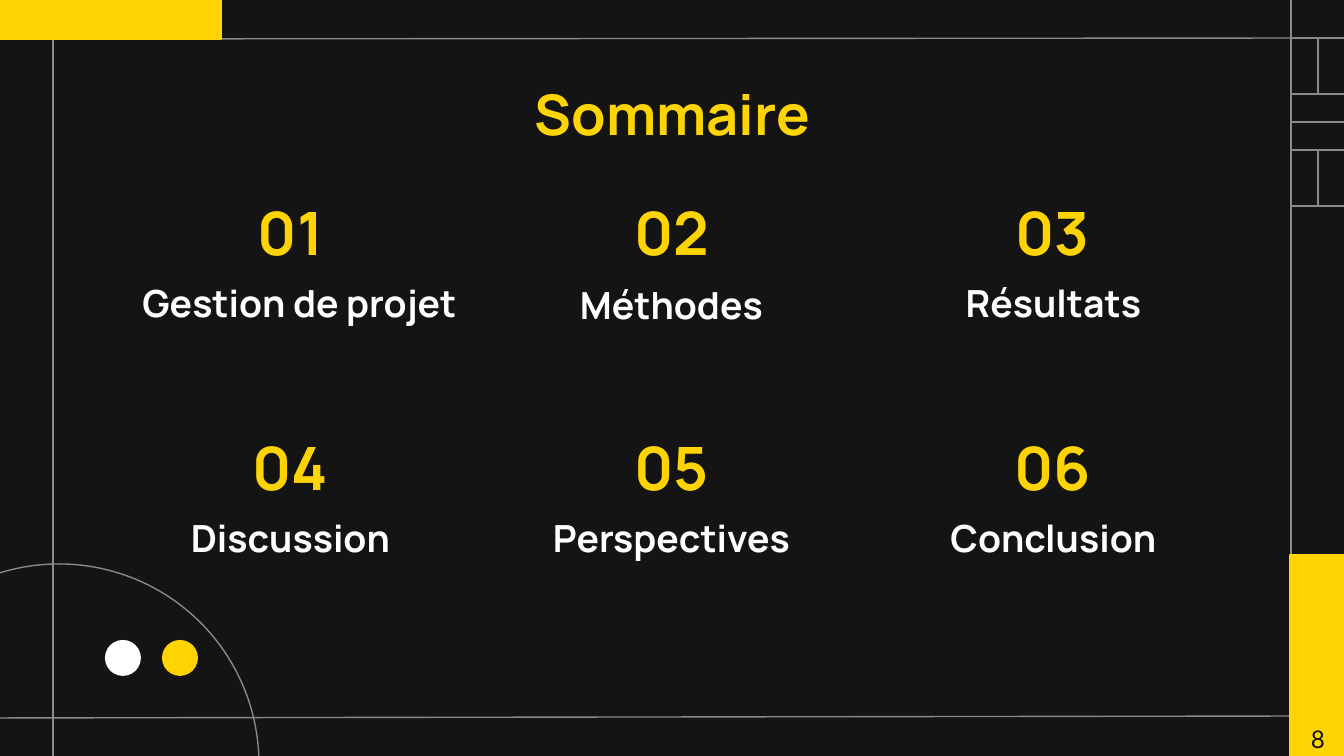
from lxml import etree
from pptx import Presentation
from pptx import util as u
from pptx.dml.color import RGBColor
from pptx.enum import shapes, text
from pptx.oxml import ns

SCALE = 914400 / 134.4
DARK, YELLOW, WHITE, GREY = "141414", "FFD400", "FFFFFF", "8A8A8A"
TOP, MIDDLE, BOTTOM = text.MSO_ANCHOR.TOP, text.MSO_ANCHOR.MIDDLE, text.MSO_ANCHOR.BOTTOM
RECTANGLE, OVAL = shapes.MSO_SHAPE.RECTANGLE, shapes.MSO_SHAPE.OVAL


def px(*lengths):
    return [u.Emu(round(length * SCALE)) for length in lengths]


def write(shape, content, size, color, font="Manrope", bold=True, anchor=MIDDLE):
    frame = shape.text_frame
    frame.text = content
    frame.word_wrap = True
    frame.auto_size = text.MSO_AUTO_SIZE.NONE
    frame.vertical_anchor = anchor
    frame.margin_left = frame.margin_right = frame.margin_top = frame.margin_bottom = u.Inches(0.1)
    paragraph = frame.paragraphs[0]
    paragraph.alignment = text.PP_ALIGN.CENTER
    paragraph.font.name = font
    paragraph.font.size = u.Pt(size)
    paragraph.font.bold = bold
    paragraph.font.color.rgb = RGBColor.from_string(color)


presentation = Presentation()
presentation.slide_width, presentation.slide_height = px(1344, 756)
slide = presentation.slides.add_slide(presentation.slide_layouts[5])
slide.background.fill.solid()
slide.background.fill.fore_color.rgb = RGBColor.from_string(DARK)

frame_lines = [(-4, 39, 1348, 38), (-4, 718, 1348, 716), (53, -1, 53, 761), (1291, -1, 1291, 761)]
tile_lines = [(1318, 38, 1318, 94), (1291, 122, 1347, 122), (1318, 150, 1318, 206)]
for ends in frame_lines + tile_lines:
    line = slide.shapes.add_connector(shapes.MSO_CONNECTOR.STRAIGHT, *px(*ends))
    line.line.color.rgb = RGBColor.from_string(GREY)
    line.line.width = u.Pt(0.75)
    etree.SubElement(line._element.spPr, ns.qn("a:effectLst"))

tiles = [(RECTANGLE, 1291, 38 + 56 * row, 56, 56, None, GREY) for row in range(3)]
blocks = [
    (RECTANGLE, 1290, 555, 54, 206, YELLOW, YELLOW),
    (RECTANGLE, 0, -1, 221, 40, YELLOW, YELLOW),
    (OVAL, -141, 564, 400, 400, None, GREY),
    (OVAL, 162, 640, 36, 36, YELLOW, None),
    (OVAL, 105, 640, 36, 36, WHITE, None),
]
for kind, left, top, width, height, fill, outline in tiles + blocks:
    shape = slide.shapes.add_shape(kind, *px(left, top, width, height))
    shape.shadow.inherit = False
    if fill:
        shape.fill.solid()
        shape.fill.fore_color.rgb = RGBColor.from_string(fill)
    else:
        shape.fill.background()
    if outline:
        shape.line.color.rgb = RGBColor.from_string(outline)
        shape.line.width = u.Pt(0.75)
    else:
        shape.line.fill.background()

title = slide.shapes.title
title.left, title.top, title.width, title.height = px(106, 66, 1133, 85)
write(title, "Sommaire", size=30, color=YELLOW, anchor=TOP)

sections = [
    ("Gestion de projet", 128, 267, 343),
    ("Méthodes", 500, 269, 343),
    ("Résultats", 891, 267, 325),
    ("Discussion", 128, 502, 325),
    ("Perspectives", 509, 502, 325),
    ("Conclusion", 891, 502, 325),
]
for index, (name, left, top, width) in enumerate(sections):
    row, column = divmod(index, 3)
    number = slide.shapes.add_textbox(*px(239 + 381 * column, 199 + 235 * row, 103, 66))
    write(number, f"{index + 1:02d}", size=32, color=YELLOW)
    label = slide.shapes.add_textbox(*px(left, top, width, 71))
    write(label, name, size=20, color=WHITE, anchor=BOTTOM)

page_number = slide.shapes.add_textbox(*px(1289, 719, 58, 40))
write(page_number, "8", size=13, color=DARK, font="Lato", bold=False)

presentation.save("out.pptx")
